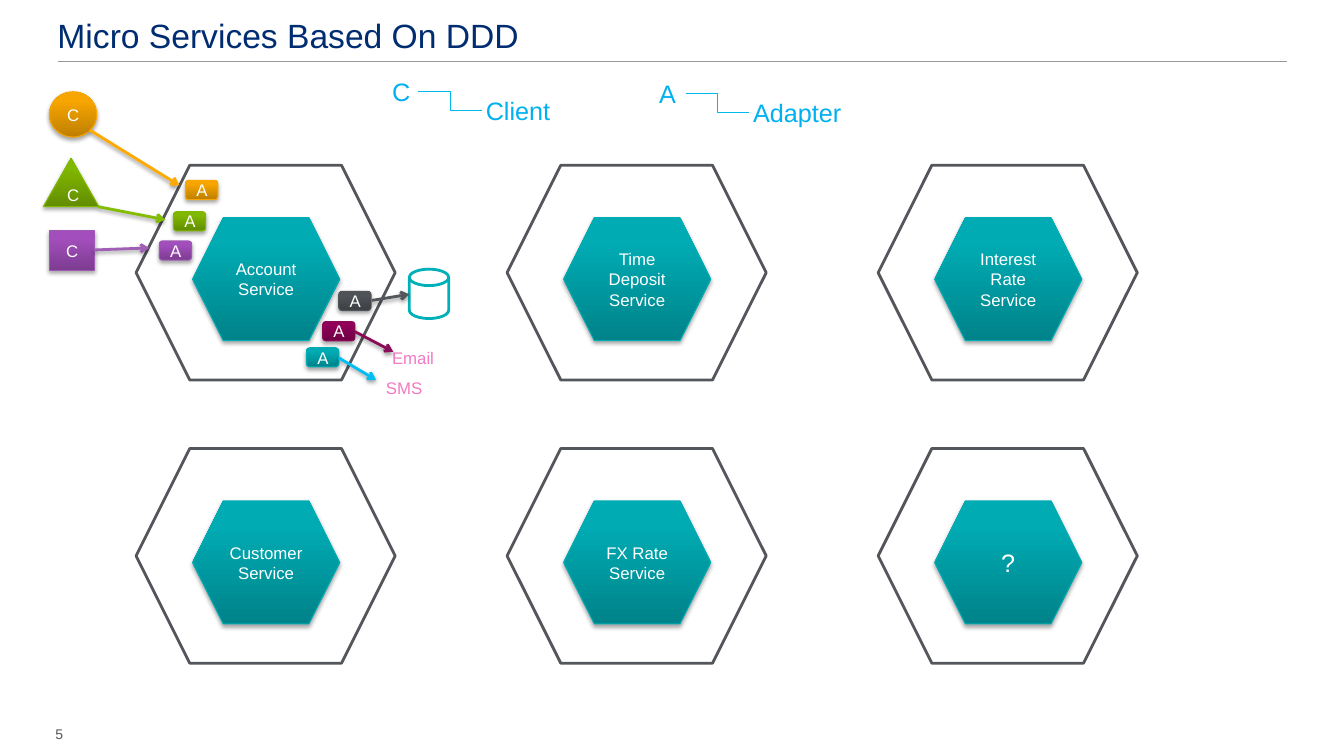
from lxml import etree
from pptx import Presentation
from pptx.dml.color import RGBColor
from pptx.enum.shapes import MSO_CONNECTOR, MSO_SHAPE
from pptx.enum.text import MSO_ANCHOR, MSO_AUTO_SIZE, PP_ALIGN
from pptx.oxml.ns import qn
from pptx.util import Pt

PX = 9144  # 100 px to the inch
FONT = "Arial"
HEX = MSO_SHAPE.HEXAGON
ROUND = MSO_SHAPE.ROUNDED_RECTANGLE
RECT = MSO_SHAPE.RECTANGLE
TRI = MSO_SHAPE.ISOSCELES_TRIANGLE
OVAL = MSO_SHAPE.OVAL
DISK = MSO_SHAPE.FLOWCHART_MAGNETIC_DISK
STRAIGHT, ELBOW = MSO_CONNECTOR.STRAIGHT, MSO_CONNECTOR.ELBOW
LEFT, CENTER = PP_ALIGN.LEFT, PP_ALIGN.CENTER
TOP, MIDDLE = MSO_ANCHOR.TOP, MSO_ANCHOR.MIDDLE

COLORS = {
    "white": "FFFFFF", "navy": "002D72", "rule": "97999B", "gray": "53565A",
    "aqua": "00B0B9", "pink": "F37AC4", "key": "00B0F0", "bend": "00B9ED",
    "violet": "A05EB5", "lime": "84BD00", "amber": "FFAA00",
    "plum": "890C58", "sky": "00BDF2",
}
# Bottom colour, top colour and edge of each gradient
BLENDS = {
    "teal": ("00838A", "00ABB3", "00ACB5"),
    "violet": ("7C3C91", "A24EBC", "9E5AB3"),
    "lime": ("628D00", "80B700", "81B900"),
    "amber": ("BE7F00", "F7A500", "F9A600"),
    "gray": ("3D4044", "4F5358", "515458"),
    "plum": ("6F0044", "900058", "890957"),
}


def rgb(name):
    return RGBColor.from_string(COLORS.get(name, name))


def box(*sizes):
    return [size * PX for size in sizes]


class Painter:
    def __init__(self, slide):
        self.slide = slide
        self.shapes = slide.shapes

    def put_text(self, frame, text, size, color, align=LEFT, anchor=TOP):
        frame.word_wrap = True
        frame.vertical_anchor = anchor
        frame.text = text
        para = frame.paragraphs[0]
        para.alignment = align
        para.font.name = FONT
        para.font.size = Pt(size)
        para.font.color.rgb = rgb(color)

    def trim(self, frame):
        frame.margin_left = frame.margin_right = 0
        frame.margin_top = frame.margin_bottom = 0

    def title(self, text, x, y, w, h):
        head = self.shapes.title
        head.left, head.top, head.width, head.height = box(x, y, w, h)
        frame = head.text_frame
        self.put_text(frame, text, 24, "navy")
        frame.auto_size = MSO_AUTO_SIZE.NONE
        self.trim(frame)

    def label(self, text, x, y, w, h, size, color, tight=False):
        frame = self.shapes.add_textbox(*box(x, y, w, h)).text_frame
        self.put_text(frame, text, size, color)
        if tight:
            self.trim(frame)

    def shade(self, effects, alpha, dist):
        shadow = etree.SubElement(
            effects, qn("a:outerShdw"), blurRad=str(Pt(3.1)),
            dist=str(Pt(dist)), dir="5400000", rotWithShape="0")
        black = etree.SubElement(shadow, qn("a:srgbClr"), val="000000")
        etree.SubElement(black, qn("a:alpha"), val=str(alpha * 1000))

    def outline(self, kind, x, y, w, h, color):
        shape = self.shapes.add_shape(kind, *box(x, y, w, h))
        shape.shadow.inherit = False
        shape.fill.solid()
        shape.fill.fore_color.rgb = rgb("white")
        shape.line.color.rgb = rgb(color)
        shape.line.width = Pt(2)

    def solid(self, kind, x, y, w, h, blend, text, size=12):
        shape = self.shapes.add_shape(kind, *box(x, y, w, h))
        shape.shadow.inherit = False
        self.shade(shape._element.spPr.find(qn("a:effectLst")), 35, 1.8)
        low, high, edge = BLENDS[blend]
        shape.fill.gradient()
        shape.fill.gradient_angle = 90
        first, last = shape.fill.gradient_stops
        first.color.rgb, last.color.rgb = rgb(low), rgb(high)
        first.position, last.position = 0, 0.8
        shape.line.color.rgb = rgb(edge)
        shape.line.width = Pt(0.75)
        self.put_text(shape.text_frame, text, size, "white", CENTER, MIDDLE)

    def line(self, start, end, color, width, kind=STRAIGHT, arrow=False):
        link = self.shapes.add_connector(kind, *box(*start, *end))
        link.line.color.rgb = rgb(color)
        link.line.width = Pt(width)
        props = link._element.spPr
        effects = etree.SubElement(props, qn("a:effectLst"))
        if arrow:
            etree.SubElement(props.find(qn("a:ln")), qn("a:tailEnd"), type="arrow")
            self.shade(effects, 38, 1.6)


def main():
    deck = Presentation()
    deck.slide_width, deck.slide_height = box(1333, 750)
    art = Painter(deck.slides.add_slide(deck.slide_layouts[5]))

    # Page frame
    art.title("Micro Services Based On DDD", 57, 15, 1229, 55)
    art.line((58, 61), (1276, 61), "rule", 0.5)
    art.label("5", 55, 720, 81, 17, 10, "gray", tight=True)

    # Grid of services
    grid = [
        ["Account Service", "Time Deposit Service", "Interest Rate Service"],
        ["Customer Service", "FX Rate Service", "?"],
    ]
    for row, names in enumerate(grid):
        for col, name in enumerate(names):
            x, y = 135 + 368 * col, 164 + 281 * row
            art.outline(HEX, x, y, 257, 213, "gray")
            art.solid(HEX, x + 56, y + 52, 146, 122, "teal", name,
                      18 if name == "?" else 12)

    # Clients
    clients = [
        (RECT, 49, 229, 45, 39, "violet"),
        (TRI, 43, 157, 55, 48, "lime"),
        (OVAL, 49, 91, 47, 45, "amber"),
    ]
    for client in clients:
        art.solid(*client, "C")

    # Data store and message targets
    art.outline(DISK, 406, 267, 39, 49, "aqua")
    art.label("Email", 379, 340, 66, 30, 12, "pink")
    art.label("SMS", 373, 370, 66, 30, 12, "pink")

    # Adapters, each with its arrow
    adapters = [
        (158, 239, "violet", (93, 248), (148, 246), "violet"),
        (172, 210, "lime", (97, 205), (164, 218), "lime"),
        (184, 179, "amber", (89, 129), (178, 184), "amber"),
        (336, 289, "gray", (369, 298), (406, 292), "gray"),
        (320, 319, "plum", (352, 329), (390, 349), "plum"),
        (304, 345, "teal", (336, 355), (373, 377), "sky"),
    ]
    for x, y, blend, start, end, color in adapters:
        art.solid(ROUND, x, y, 32, 19, blend, "A")
        art.line(start, end, color, 2, arrow=True)

    # Key to the letters
    keys = [("C", "Client", 379, 71, 90, 87), ("A", "Adapter", 644, 73, 92, 115)]
    for mark, word, x, y, low, width in keys:
        art.label(mark, x, y, 36, 40, 18, "key")
        art.line((x + 36, y + 20), (x + 99, y + 39), "bend", 0.75, ELBOW)
        art.label(word, x + 93, low, width, 40, 18, "key")

    deck.save("out.pptx")


if __name__ == "__main__":
    main()
